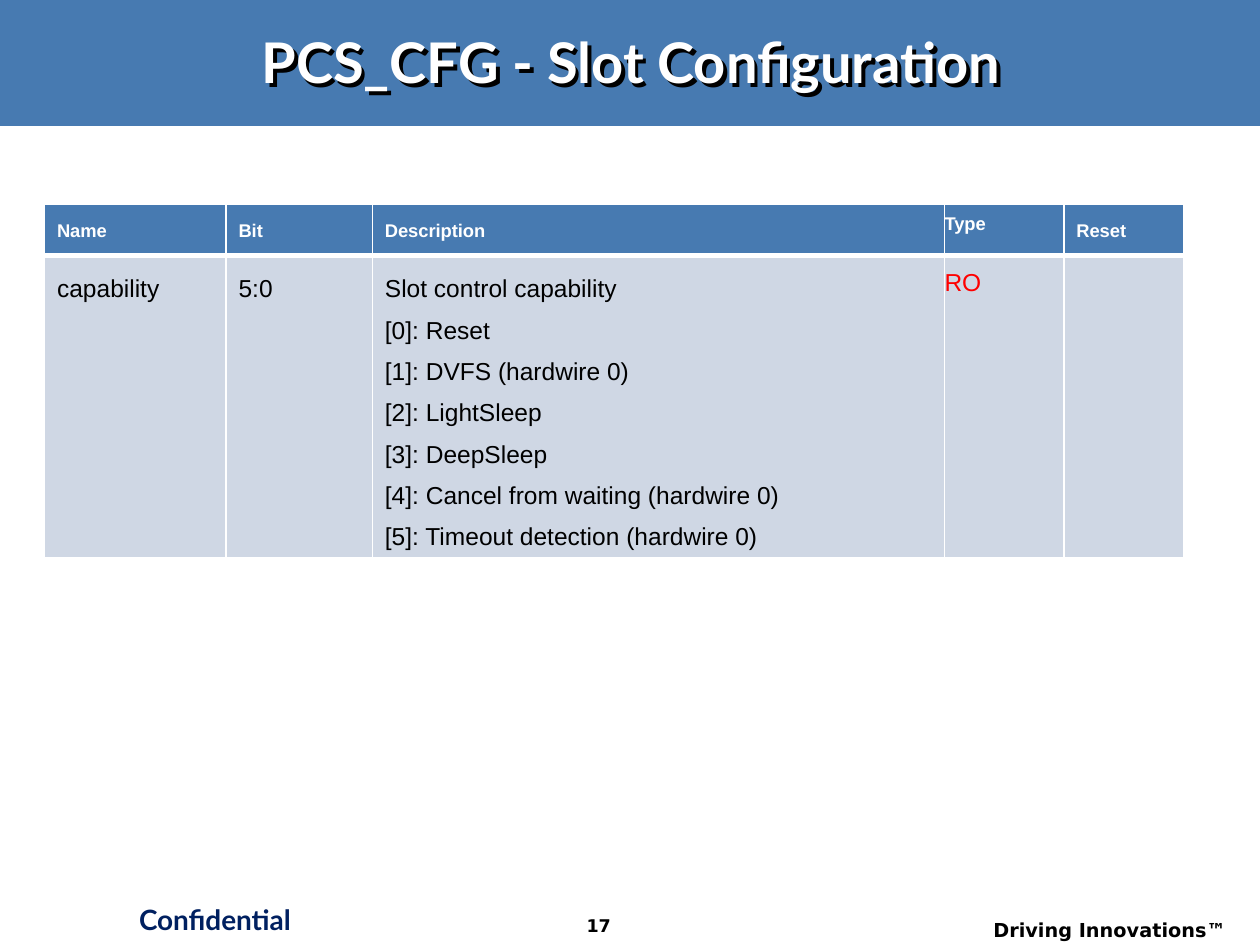
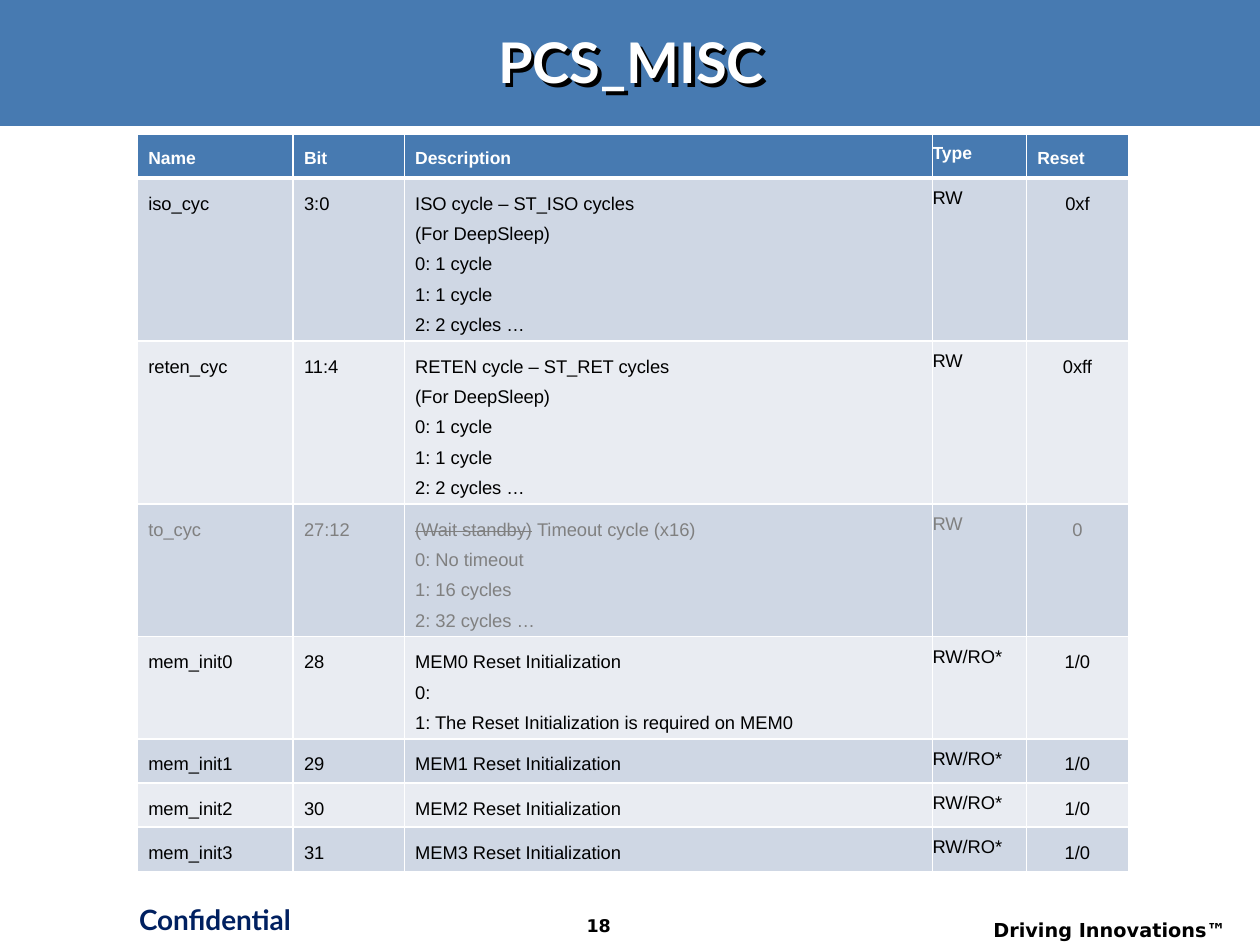
from lxml.etree import SubElement
from pptx import Presentation
from pptx.dml.color import RGBColor
from pptx.enum.shapes import MSO_SHAPE as SHAPE
from pptx.enum.text import MSO_ANCHOR as ANCHOR, PP_ALIGN as ALIGN
from pptx.oxml import parse_xml
from pptx.oxml.ns import nsdecls, qn
from pptx.util import Cm, Pt

BLUE = RGBColor(0x47, 0x7A, 0xB1)
NAVY = RGBColor(0x00, 0x20, 0x60)
WHITE = RGBColor(0xFF, 0xFF, 0xFF)
BLACK = RGBColor(0x00, 0x00, 0x00)
RED = RGBColor(0xFF, 0x00, 0x00)
GRAY = RGBColor(0x80, 0x80, 0x80)
ROW_DARK = RGBColor(0xCF, 0xD7, 0xE4)
ROW_LIGHT = RGBColor(0xE9, 0xEC, 0xF2)

WIDTH, HEIGHT, BAND_HEIGHT = Cm(25.4), Cm(19.05), Cm(2.54)
TITLE_BOX = (0.9, 0.39, 23.65, 1.68)
CONFIDENTIAL_BOX = (2.25, 18.06, 4.17, 1.07)
SLOGAN_BOX = (18.95, 18.39, 6.02, 0.66)
NUMBER_BOX = (10.9, 18.33, 2.34, 0.71)

TITLE = dict(name="Lato", size=Pt(32), bold=True, color=WHITE)
CONFIDENTIAL = dict(name="Lato", size=Pt(16), bold=True, color=NAVY)
SLOGAN = dict(name="DejaVu Sans", size=Pt(11), bold=True, color=BLACK)
NUMBER = dict(SLOGAN, size=Pt(10))
HEAD = dict(name="Arial", bold=True, color=WHITE)
BODY = dict(name="Arial", bold=False, color=BLACK)
LEADING = {Pt(10): Pt(16.6), Pt(10.5): Pt(17.4), Pt(14): Pt(23.6)}

HEADINGS = ("Name", "Bit", "Description", "Type", "Reset")
TYPE_COL, RESET_COL = 3, 4
CYCLES = ["(For DeepSleep)", "0: 1 cycle", "1: 1 cycle", "2: 2 cycles …"]

SLOT_ROWS = [
    ("capability", "5:0",
     ["Slot control capability", "[0]: Reset", "[1]: DVFS (hardwire 0)",
      "[2]: LightSleep", "[3]: DeepSleep",
      "[4]: Cancel from waiting (hardwire 0)",
      "[5]: Timeout detection (hardwire 0)"], "RO", ""),
]
MISC_ROWS = [
    ("iso_cyc", "3:0", ["ISO cycle – ST_ISO cycles", *CYCLES], "RW", "0xf"),
    ("reten_cyc", "11:4", ["RETEN cycle – ST_RET cycles", *CYCLES], "RW", "0xff"),
    ("to_cyc", "27:12",
     [("(Wait standby)", " Timeout cycle (x16)"), "0: No timeout",
      "1: 16 cycles", "2: 32 cycles …"], "RW", "0"),
    ("mem_init0", "28",
     ["MEM0 Reset Initialization", "0:",
      "1: The Reset Initialization is required on MEM0"], "RW/RO*", "1/0"),
    *[(f"mem_init{i}", str(28 + i), [f"MEM{i} Reset Initialization"],
       "RW/RO*", "1/0") for i in (1, 2, 3)],
]


def format_font(font, style):
    """Apply a dict of format values to a font."""
    for key, value in style.items():
        if key == "color":
            font.color.rgb = value
        else:
            setattr(font, key, value)


def add_run(p, text, style):
    """Append a formatted run to a paragraph."""
    r = p.add_run()
    r.text = text
    format_font(r.font, style)
    return r


def add_label(slide, box, text, style, align):
    """Add a one-line text box."""
    tf = slide.shapes.add_textbox(*map(Cm, box)).text_frame
    tf.word_wrap = True
    p = tf.paragraphs[0]
    p.alignment = align
    add_run(p, text, style)


def add_title(slide, text):
    """Place the shadowed title on its blue band."""
    title = slide.shapes.title
    band = slide.shapes.add_shape(SHAPE.RECTANGLE, 0, 0, WIDTH, BAND_HEIGHT)
    band.shadow.inherit = False
    band.fill.solid()
    band.fill.fore_color.rgb = BLUE
    band.line.fill.background()
    title.element.addprevious(band.element)
    title.left, title.top, title.width, title.height = map(Cm, TITLE_BOX)
    title.element.spPr.append(parse_xml(
        f'<a:effectLst {nsdecls("a")}><a:outerShdw dist="38100" dir="2700000">'
        '<a:srgbClr val="000000"/></a:outerShdw></a:effectLst>'))
    tf = title.text_frame
    tf.vertical_anchor = ANCHOR.MIDDLE
    p = tf.paragraphs[0]
    p.alignment = ALIGN.CENTER
    add_run(p, text, TITLE)


def add_footer(slide, number):
    """Add the confidentiality mark, the slide number and the slogan."""
    add_label(slide, CONFIDENTIAL_BOX, "Confidential", CONFIDENTIAL, ALIGN.CENTER)
    add_label(slide, SLOGAN_BOX, "Driving Innovations™", SLOGAN, ALIGN.RIGHT)
    add_label(slide, NUMBER_BOX, str(number), NUMBER, ALIGN.CENTER)


def set_borders(cell, top, bottom):
    """Draw white cell borders, with the top and bottom widths in points."""
    tcPr = cell._tc.get_or_add_tcPr()
    widths = {"lnL": 1, "lnR": 1, "lnT": top, "lnB": bottom}
    for i, (side, width) in enumerate(widths.items()):
        ln = parse_xml(f'<a:{side} {nsdecls("a")} w="{Pt(width)}"/>')
        fill = SubElement(ln, qn("a:solidFill"))
        SubElement(fill, qn("a:srgbClr"), val=str(WHITE))
        tcPr.insert(i, ln)


def fill_cell(cell, lines, style, align, fill, margins):
    """Write the lines of a cell; a pair of texts has its first one struck."""
    cell.fill.solid()
    cell.fill.fore_color.rgb = fill
    cell.margin_left = cell.margin_right = Cm(margins[0])
    cell.margin_top = cell.margin_bottom = Cm(margins[1])
    tf = cell.text_frame
    for i, line in enumerate(lines):
        p = tf.add_paragraph() if i else tf.paragraphs[0]
        p.alignment, p.line_spacing = align, LEADING[style["size"]]
        if isinstance(line, tuple):
            struck, line = line
            r = add_run(p, struck, style)
            r.font._element.set("strike", "sngStrike")
        if line:
            add_run(p, line, style)


def add_register_table(slide, left, top, cols, heights, rows, sizes, margins,
                       reset_align=ALIGN.LEFT, colors=None):
    """Add a register table; colors maps (row, column) or row to a text colour."""
    colors = colors or {}
    table = slide.shapes.add_table(
        len(rows) + 1, len(cols), Cm(left), Cm(top),
        Cm(sum(cols)), Cm(sum(heights))).table
    for col, width in zip(table.columns, cols):
        col.width = Cm(width)
    for row, height in zip(table.rows, heights):
        row.height = Cm(height)
    for i, values in enumerate([HEADINGS, *rows]):
        fill = (ROW_DARK if i % 2 else ROW_LIGHT) if i else BLUE
        for j, value in enumerate(values):
            base = dict(BODY if i else HEAD, size=Pt(sizes[min(i, 1)]))
            base["color"] = colors.get((i, j), colors.get(i, base["color"]))
            cell = table.cell(i, j)
            fill_cell(cell, value if isinstance(value, list) else [value], base,
                      reset_align if i and j == RESET_COL else ALIGN.LEFT,
                      fill, (0, 0) if j == TYPE_COL else margins)
            set_borders(cell, 3 if i == 1 else 1, 1 if i else 3)


def add_register_slide(prs, number, title, **table):
    """Add a slide with a title, a register table and the footer."""
    slide = prs.slides.add_slide(prs.slide_layouts[5])
    add_title(slide, title)
    add_footer(slide, number)
    add_register_table(slide, **table)


def main():
    """Build both register slides."""
    prs = Presentation()
    prs.slide_width, prs.slide_height = WIDTH, HEIGHT
    add_register_slide(
        prs, 17, "PCS_CFG - Slot Configuration", left=0.9, top=4.12,
        cols=(3.66, 2.95, 11.53, 2.41, 2.41), heights=(1.03, 1.03),
        rows=SLOT_ROWS, sizes=(10.5, 14), margins=(0.25, 0.13),
        colors={(1, TYPE_COL): RED})
    add_register_slide(
        prs, 18, "PCS_MISC", left=2.77, top=2.7,
        cols=(3.14, 2.24, 10.65, 1.89, 2.06),
        heights=(0.89, 3.25, 3.25, 2.64, 2.06, 0.89, 0.89, 0.89),
        rows=MISC_ROWS, sizes=(10, 10.5), margins=(0.22, 0.11),
        reset_align=ALIGN.CENTER, colors={3: GRAY})
    prs.save("out.pptx")


if __name__ == "__main__":
    main()
